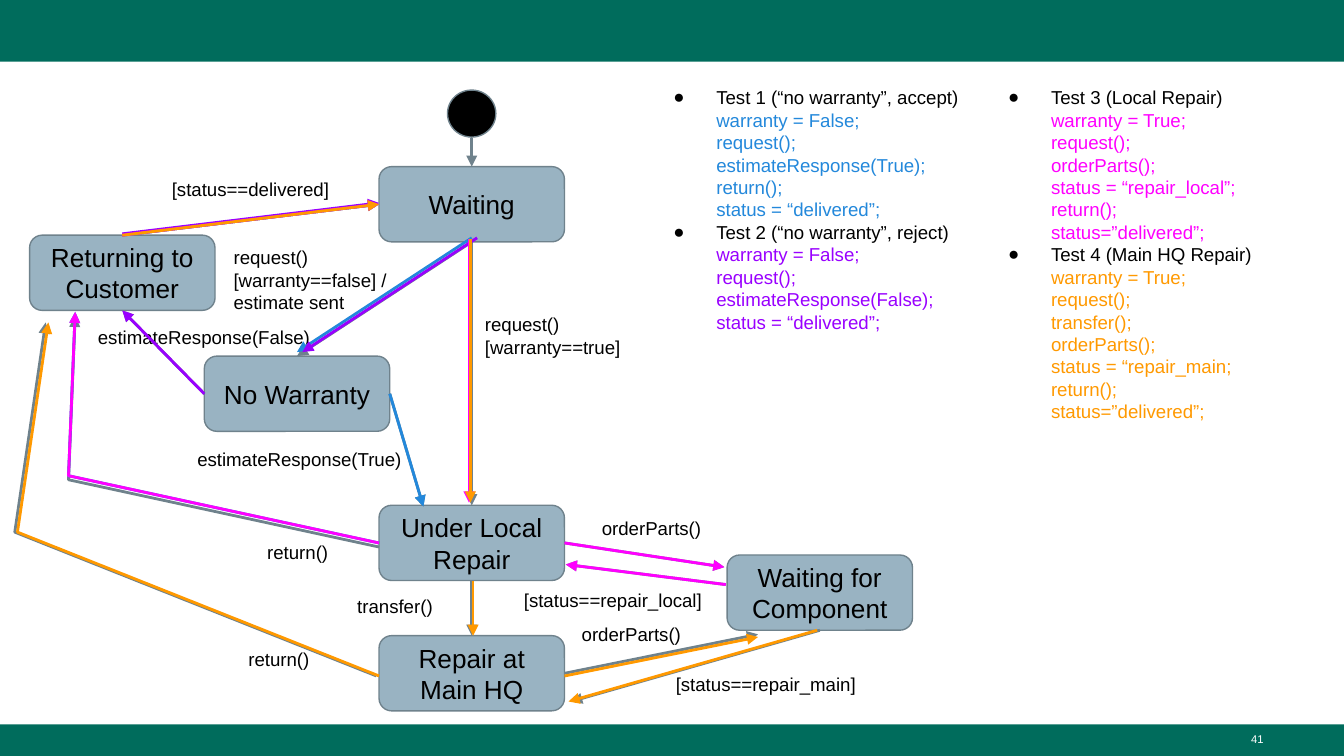
from dataclasses import dataclass

from lxml.etree import SubElement
from pptx import Presentation
from pptx.dml.color import RGBColor
from pptx.enum.shapes import MSO_CONNECTOR, MSO_SHAPE
from pptx.enum.text import MSO_ANCHOR, MSO_AUTO_SIZE, PP_ALIGN
from pptx.oxml.ns import qn
from pptx.util import Inches, Pt


@dataclass(frozen=True)
class Theme:
    font: str = "Arial"
    bar: str = "006C5C"
    state: str = "99B3C2"
    edge: str = "6F828C"
    black: str = "000000"
    white: str = "FFFFFF"
    blue: str = "2388DB"
    purple: str = "9900FF"
    magenta: str = "FF00FF"
    orange: str = "FF9900"
    state_size: int = 14
    body_size: int = 10
    number_size: int = 6
    arrow_width: float = 1.5
    edge_width: float = 0.75


@dataclass(frozen=True)
class Box:
    left: float
    top: float
    width: float
    height: float

    def inside(self, left, top, width, height):
        return Box(self.left + left, self.top + top, width, height)

    def emu(self):
        return [Inches(v) for v in (self.left, self.top, self.width, self.height)]


THEME = Theme()
TOP, LEFT, BOTTOM, RIGHT = range(4)
STATE_W, STATE_H = 1.38, 0.56
SLIDE_W, SLIDE_H = 10, 10 * 9 / 16

STATES = {
    "Waiting": (2.82, 1.24),
    "No Warranty": (1.52, 2.65),
    "Under Local Repair": (2.82, 3.76),
    "Returning to Customer": (0.22, 1.75),
    "Repair at Main HQ": (2.82, 4.73),
    "Waiting for Component": (5.41, 4.13),
}

TRANSITIONS = {
    "start": [(3.51, 1.03), ("Waiting", TOP)],
    "no warranty": [("Waiting", BOTTOM), ("No Warranty", TOP)],
    "warranty": [("Waiting", BOTTOM), ("Under Local Repair", TOP)],
    "accept": [("No Warranty", RIGHT), (3.15, 3.77)],
    "reject": [("No Warranty", LEFT), ("Returning to Customer", BOTTOM)],
    "delivered": [("Returning to Customer", TOP), ("Waiting", LEFT)],
    "transfer": [("Under Local Repair", BOTTOM), ("Repair at Main HQ", TOP)],
    "local order": [("Under Local Repair", RIGHT), (5.39, 4.22)],
    "local repaired": [(5.4, 4.35), (4.21, 4.2)],
    "local return": [(2.82, 4.07), (0.51, 3.57), (0.56, 2.35)],
    "main return": [(2.8, 5.03), (0.11, 3.96), (0.34, 2.4)],
    "main order": [("Repair at Main HQ", RIGHT), (5.64, 4.72)],
    "main repaired": [("Waiting for Component", BOTTOM), (4.25, 5.22)],
}

LABELS = [
    ("request() [warranty==false] / estimate sent", 1.64, 1.73, 1.54, 0.71),
    ("request() [warranty==true]", 3.51, 2.23, 1.54, 0.54),
    ("estimateResponse(True)", 1.37, 3.25, 2.07, 0.37),
    ("estimateResponse(False)", 0.63, 2.34, 1.81, 0.37),
    ("[status==delivered]", 1.18, 1.24, 1.38, 0.37),
    ("transfer()", 2.56, 4.34, 0.86, 0.37),
    ("orderParts()", 4.38, 3.76, 1.04, 0.37),
    ("[status==repair_local]", 3.8, 4.3, 1.86, 0.37),
    ("return()", 1.89, 3.94, 0.93, 0.37),
    ("return()", 1.75, 4.74, 0.93, 0.37),
    ("orderParts()", 4.23, 4.55, 1.04, 0.37),
    ("[status==repair_main]", 4.93, 4.92, 1.86, 0.37),
]

TEST_ROUTES = [
    (THEME.blue, {"no warranty": (0, -0.03), "accept": (0, 0),
                  "local return": (0, -0.03), "delivered": (0, 0)}),
    (THEME.purple, {"no warranty": (0.04, -0.03), "reject": (0, 0),
                    "delivered": (0, -0.01)}),
    (THEME.magenta, {"warranty": (-0.02, -0.02), "local order": (0, 0),
                     "local repaired": (0, 0), "local return": (0, -0.03),
                     "delivered": (0, 0)}),
    (THEME.orange, {"warranty": (-0.01, -0.02), "transfer": (0.01, 0),
                    "main order": (0, 0.02), "main repaired": (-0.02, 0),
                    "main return": (0.02, 0), "delivered": (0, 0)}),
]

WARRANTY_REFUSED = [
    ("Test 1 (“no warranty”, accept)", THEME.blue,
     ["warranty = False;", "request();", "estimateResponse(True);", "return();",
      "status = “delivered”;"]),
    ("Test 2 (“no warranty”, reject)", THEME.purple,
     ["warranty = False;", "request();", "estimateResponse(False);",
      "status = “delivered”;"]),
]
WARRANTY_HELD = [
    ("Test 3 (Local Repair)", THEME.magenta,
     ["warranty = True;", "request();", "orderParts();", "status = “repair_local”;",
      "return();", "status=”delivered”;"]),
    ("Test 4 (Main HQ Repair)", THEME.orange,
     ["warranty = True;", "request();", "transfer();", "orderParts();",
      "status = “repair_main;", "return();", "status=”delivered”;"]),
]


def add_text(p, text, size=THEME.body_size, color=THEME.black, align=None):
    r = p.add_run()
    r.text = text
    r.font.name, r.font.size = THEME.font, Pt(size)
    r.font.color.rgb = RGBColor.from_string(color)
    if align is not None:
        p.alignment = align


def set_frame(tf, inset_y=0.1, anchor=MSO_ANCHOR.TOP, fit=MSO_AUTO_SIZE.NONE):
    tf.word_wrap, tf.auto_size = True, fit
    tf.margin_left = tf.margin_right = Inches(0.1)
    tf.margin_top = tf.margin_bottom = Inches(inset_y)
    tf.vertical_anchor = anchor
    return tf.paragraphs[0]


def add_filled(s, kind, box, fill, edge=None):
    sp = s.shapes.add_shape(kind, *box.emu())
    sp.shadow.inherit = False
    sp.fill.solid()
    sp.fill.fore_color.rgb = RGBColor.from_string(fill)
    if edge:
        sp.line.color.rgb = RGBColor.from_string(edge)
        sp.line.width = Pt(THEME.edge_width)
    else:
        sp.line.fill.background()
    return sp


def add_label(s, box, text, inset_y=0.1, fit=MSO_AUTO_SIZE.SHAPE_TO_FIT_TEXT, **fmt):
    tf = s.shapes.add_textbox(*box.emu()).text_frame
    add_text(set_frame(tf, inset_y=inset_y, fit=fit), text, **fmt)


def side_point(sp, side):
    x = sp.left + {LEFT: 0, RIGHT: sp.width}.get(side, sp.width // 2)
    y = sp.top + {TOP: 0, BOTTOM: sp.height}.get(side, sp.height // 2)
    return x, y


def add_arrow(s, box, states, stops, color, nudge=(0, 0)):
    dx, dy = (Inches(v) for v in nudge)
    points = []
    for a, b in stops:
        x, y = (side_point(states[a], b) if a in states
                else (Inches(box.left + a), Inches(box.top + b)))
        points.append((x + dx, y + dy))
    if len(points) == 2:
        sp = s.shapes.add_connector(MSO_CONNECTOR.STRAIGHT, *points[0], *points[1])
        for (a, b), join in zip(stops, (sp.begin_connect, sp.end_connect)):
            if a in states and nudge == (0, 0):
                join(states[a], b)
    else:
        outline = s.shapes.build_freeform(*points[0])
        outline.add_line_segments(points[1:], close=False)
        sp = outline.convert_to_shape()
        sp.fill.background()
    sp.line.color.rgb = RGBColor.from_string(color)
    sp.line.width = Pt(THEME.arrow_width)
    spPr = sp.element.spPr
    SubElement(spPr.find(qn("a:ln")), qn("a:tailEnd"), type="triangle")
    SubElement(spPr, qn("a:effectLst"))


def draw_bars(s, box):
    add_filled(s, MSO_SHAPE.RECTANGLE, box.inside(0, 0, box.width, 0.46), THEME.bar)
    footer = box.inside(0, 5.39, box.width, box.height - 5.39)
    add_filled(s, MSO_SHAPE.RECTANGLE, footer, THEME.bar)
    add_label(s, footer.inside(7.17, 0.01, 2.33, 0.23), "41", inset_y=0.05,
              fit=MSO_AUTO_SIZE.NONE, size=THEME.number_size, color=THEME.white,
              align=PP_ALIGN.RIGHT)


def draw_state_machine(s, box):
    add_filled(s, MSO_SHAPE.OVAL, box.inside(3.33, 0.67, 0.36, 0.35),
               THEME.black, THEME.edge)
    states = {}
    for name, (x, y) in STATES.items():
        sp = add_filled(s, MSO_SHAPE.ROUNDED_RECTANGLE,
                        box.inside(x, y, STATE_W, STATE_H), THEME.state, THEME.edge)
        p = set_frame(sp.text_frame, anchor=MSO_ANCHOR.MIDDLE)
        add_text(p, name, size=THEME.state_size, align=PP_ALIGN.CENTER)
        states[name] = sp
    for stops in TRANSITIONS.values():
        add_arrow(s, box, states, stops, THEME.edge)
    for text, *place in LABELS:
        add_label(s, box.inside(*place), text)
    for color, route in TEST_ROUTES:
        for name, nudge in route.items():
            add_arrow(s, box, states, TRANSITIONS[name], color, nudge)


def fill_tests(body, box, tests):
    body.left, body.top, body.width, body.height = box.emu()
    tf = body.text_frame
    set_frame(tf)
    for i, (title, color, steps) in enumerate(tests):
        p = tf.add_paragraph() if i else tf.paragraphs[0]
        pPr = p._p.get_or_add_pPr()
        pPr.set("marL", str(Inches(0.5)))
        pPr.set("indent", str(Inches(-0.32)))
        SubElement(pPr, qn("a:buChar"), char="●")
        p.space_before, p.line_spacing = Pt(0), 1.0
        add_text(p, title)
        for step in steps:
            p.add_line_break()
            SubElement(p._p[-1], qn("a:rPr"), sz=str(THEME.body_size * 100))
            add_text(p, step, color=color)


def main():
    prs = Presentation()
    prs.slide_width, prs.slide_height = Inches(SLIDE_W), Inches(SLIDE_H)
    s = prs.slides.add_slide(prs.slide_layouts[3])
    title, refused, held = s.placeholders
    title.element.getparent().remove(title.element)
    draw_bars(s, Box(0, 0, SLIDE_W, SLIDE_H))
    draw_state_machine(s, Box(0, 0, 7, 5.39))
    fill_tests(refused, Box(4.73, 0.54, 2.92, 2.05), WARRANTY_REFUSED)
    fill_tests(held, Box(7.22, 0.54, 2.69, 2.96), WARRANTY_HELD)
    prs.save("out.pptx")


if __name__ == "__main__":
    main()
